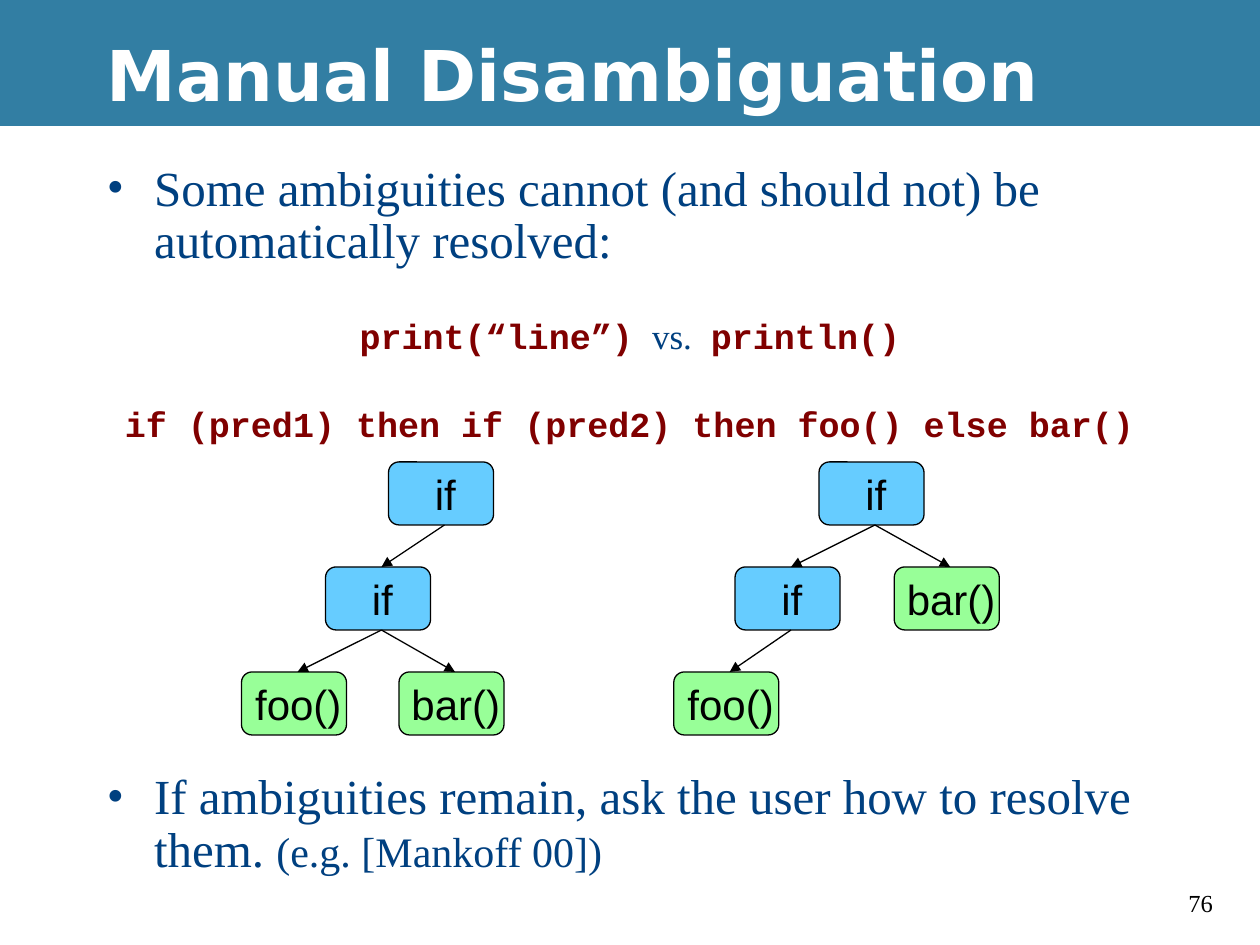
from lxml import etree
from pptx import Presentation
from pptx.dml.color import RGBColor
from pptx.enum.shapes import MSO_CONNECTOR, MSO_SHAPE
from pptx.enum.text import MSO_ANCHOR, PP_ALIGN
from pptx.oxml.ns import qn
from pptx.util import Pt

RECTANGLE = MSO_SHAPE.RECTANGLE
NODE_SHAPE = MSO_SHAPE.FLOWCHART_ALTERNATE_PROCESS
STRAIGHT = MSO_CONNECTOR.STRAIGHT
LEFT, CENTER = PP_ALIGN.LEFT, PP_ALIGN.CENTER
TOP, MIDDLE = MSO_ANCHOR.TOP, MSO_ANCHOR.MIDDLE

WHITE = RGBColor(0xFF, 0xFF, 0xFF)
BLACK = RGBColor(0x00, 0x00, 0x00)
TEAL = RGBColor(0x32, 0x7E, 0xA3)
NAVY = RGBColor(0x00, 0x40, 0x80)
MAROON = RGBColor(0x80, 0x00, 0x00)
SKY = RGBColor(0x66, 0xCC, 0xFF)
MINT = RGBColor(0x98, 0xFF, 0x98)

SERIF, SANS, MONO, HEADING = "Times New Roman", "Arial", "Courier New", "DejaVu Sans"

NODE_WIDTH, NODE_HEIGHT = 60, 36
ROW_TOP, ROW_STEP = 264, 60
LABEL_SHIFT = 5    # left inset that moves a node label off centre
ARROW_OFFSET = 32  # from a node's left side to its arrow ends


class SlideBuilder:
    """Holds the style and the current slide; draws each kind of element."""

    def __init__(self, slide):
        self.slide = slide
        self.shapes = slide.shapes

    def run(self, paragraph, text, size, font, color, bold=False):
        run = paragraph.add_run()
        run.text = text
        run.font.size = Pt(size)
        run.font.name = font
        run.font.color.rgb = color
        run.font.bold = bold

    def block(self, left, top, width, height, fill):
        block = self.shapes.add_shape(RECTANGLE, Pt(left), Pt(top), Pt(width), Pt(height))
        block.shadow.inherit = False
        block.fill.solid()
        block.fill.fore_color.rgb = fill
        block.line.fill.background()

    def text(self, left, top, width, height, anchor=TOP):
        frame = self.shapes.add_textbox(Pt(left), Pt(top), Pt(width), Pt(height)).text_frame
        frame.word_wrap = True
        frame.vertical_anchor = anchor
        return frame

    def paragraph(self, frame, runs, before=0, align=LEFT, bullet=False):
        first = frame.paragraphs[0]
        paragraph = frame.add_paragraph() if first.runs else first
        if bullet:
            properties = paragraph._p.get_or_add_pPr()
            properties.set("marL", str(Pt(27)))
            properties.set("indent", str(Pt(-27)))
            color = etree.SubElement(properties, qn("a:buClr"))
            etree.SubElement(color, qn("a:srgbClr"), val=str(NAVY))
            etree.SubElement(properties, qn("a:buFont"), typeface=SERIF)
            etree.SubElement(properties, qn("a:buChar"), char="•")
        paragraph.alignment = align
        paragraph.line_spacing = 0.9
        if before:
            paragraph.space_before = Pt(before)
        for run in runs:
            self.run(paragraph, *run)

    def node(self, label, left, row):
        node = self.shapes.add_shape(NODE_SHAPE, Pt(left), Pt(ROW_TOP + row * ROW_STEP),
                                     Pt(NODE_WIDTH), Pt(NODE_HEIGHT))
        node.shadow.inherit = False
        node.fill.solid()
        node.fill.fore_color.rgb = SKY if label == "if" else MINT
        node.line.color.rgb = BLACK
        node.line.width = Pt(0.75)
        frame = node.text_frame
        frame.word_wrap = False
        frame.vertical_anchor = MIDDLE
        frame.margin_left, frame.margin_right = Pt(LABEL_SHIFT), Pt(0)
        frame.paragraphs[0].alignment = CENTER
        self.run(frame.paragraphs[0], label, 24, SANS, BLACK)

    def arrow(self, parent_left, child_left, child_row):
        child_top = ROW_TOP + child_row * ROW_STEP
        parent_bottom = child_top - ROW_STEP + NODE_HEIGHT
        arrow = self.shapes.add_connector(
            STRAIGHT, Pt(parent_left + ARROW_OFFSET), Pt(parent_bottom),
            Pt(child_left + ARROW_OFFSET), Pt(child_top))
        arrow.line.color.rgb = BLACK
        arrow.line.width = Pt(0.75)
        etree.SubElement(arrow.line._get_or_add_ln(), qn("a:tailEnd"), type="triangle")
        etree.SubElement(arrow._element.spPr, qn("a:effectLst"))

    def tree(self, nodes):
        """Nodes are (label, left, row, parent's left or None)."""
        for label, left, row, parent_left in nodes:
            self.node(label, left, row)
            if parent_left is not None:
                self.arrow(parent_left, left, row)


def main():
    deck = Presentation()
    deck.slide_width, deck.slide_height = Pt(720), Pt(540)
    builder = SlideBuilder(deck.slides.add_slide(deck.slide_layouts[6]))

    # Page and title band
    builder.block(0, 72, 720, 468, WHITE)
    builder.block(0, 0, 720, 72, TEAL)
    page_number = builder.text(672, 504, 36, 24.5)
    builder.run(page_number.paragraphs[0], "76", 14, SERIF, BLACK)
    title = builder.text(54, 6, 666, 72, MIDDLE)
    builder.run(title.paragraphs[0], "Manual Disambiguation", 40, HEADING, WHITE, True)

    # Body, with room left for the trees
    body = builder.text(54, 90, 612, 420)
    builder.paragraph(body, [
        ("Some ambiguities cannot (and should not) be automatically resolved:", 28, SERIF, NAVY),
    ], bullet=True)
    builder.paragraph(body, [
        ("print(“line”)", 20, MONO, MAROON, True),
        (" ", 18, MONO, MAROON, True),
        ("vs.", 20, SERIF, NAVY),
        (" ", 18, MONO, MAROON, True),
        ("println()", 20, MONO, MAROON, True),
    ], before=28.5, align=CENTER)
    builder.paragraph(body, [
        ("if (pred1) then if (pred2) then foo() else bar()", 20, MONO, MAROON, True),
    ], before=28.5, align=CENTER)
    builder.paragraph(body, [
        ("If ambiguities remain, ask the user how to resolve them. ", 28, SERIF, NAVY),
        ("(e.g. [Mankoff 00])", 24, SERIF, NAVY),
    ], before=187, bullet=True)

    # Else belongs to the inner if
    builder.tree([
        ("if", 222, 0, None),
        ("if", 186, 1, 222),
        ("foo()", 138, 2, 186),
        ("bar()", 228, 2, 186),
    ])

    # Else belongs to the outer if
    builder.tree([
        ("if", 468, 0, None),
        ("if", 420, 1, 468),
        ("foo()", 385, 2, 420),
        ("bar()", 511, 1, 468),
    ])

    deck.save("out.pptx")


if __name__ == "__main__":
    main()
